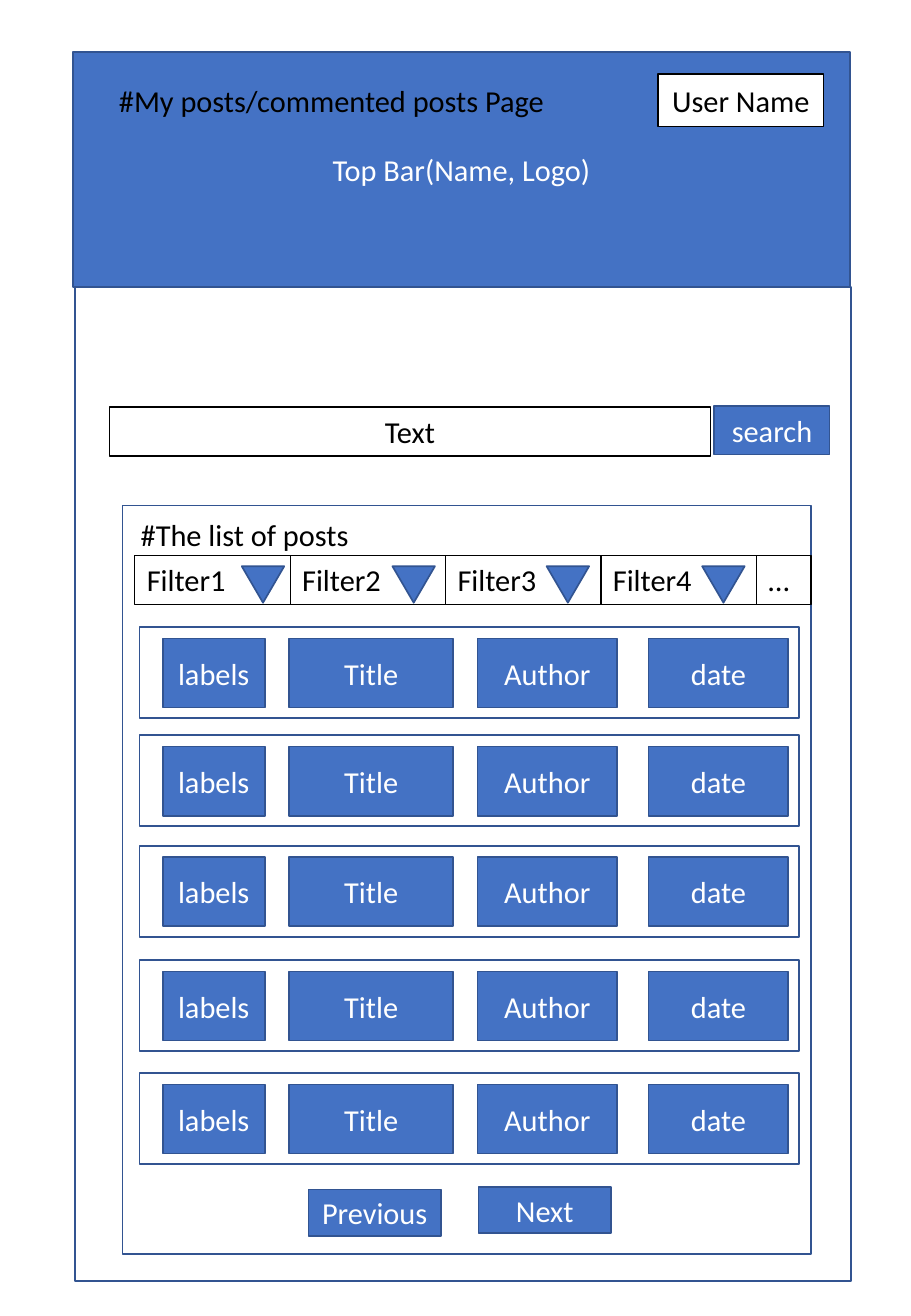
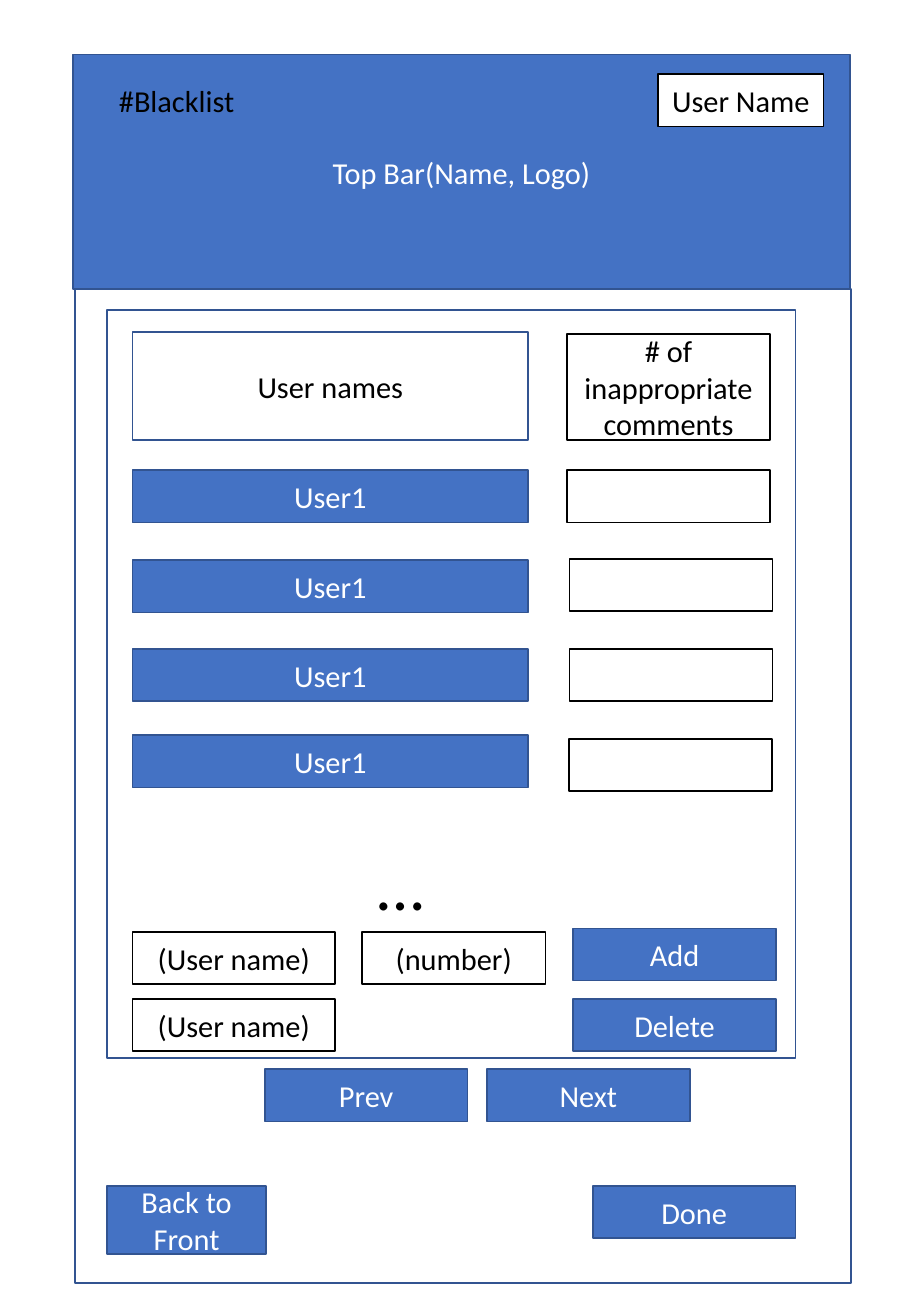
"""Build two page wireframes: a list of posts and a blacklist."""
from pptx import Presentation
from pptx.dml.color import RGBColor
from pptx.enum.shapes import MSO_SHAPE
from pptx.enum.text import MSO_ANCHOR, MSO_AUTO_SIZE, PP_ALIGN
from pptx.util import Pt

RECT, TRIANGLE = MSO_SHAPE.RECTANGLE, MSO_SHAPE.ISOSCELES_TRIANGLE
TOP, MIDDLE = MSO_ANCHOR.TOP, MSO_ANCHOR.MIDDLE
LEFT, CENTER = PP_ALIGN.LEFT, PP_ALIGN.CENTER
GROW = MSO_AUTO_SIZE.SHAPE_TO_FIT_TEXT

COLORS = {"blue": "4472C4", "edge": "325491", "white": "FFFFFF", "black": "000000"}
STYLES = {
    "button": {"fill": "blue", "line": "edge", "color": "white"},
    "frame": {"fill": None, "line": "edge", "color": "black"},
    "header": {"fill": "white", "line": "edge", "color": "black"},
    "field": {"fill": "white", "line": "black", "color": "black"},
}


def add_box(s, style, x, y, w, h, text="", shape=RECT):
    look = STYLES[style]
    sp = s.shapes.add_shape(shape, Pt(x), Pt(y), Pt(w), Pt(h))
    sp.shadow.inherit = False
    if look["fill"]:
        sp.fill.solid()
        sp.fill.fore_color.rgb = RGBColor.from_string(COLORS[look["fill"]])
    else:
        sp.fill.background()
    sp.line.color.rgb = RGBColor.from_string(COLORS[look["line"]])
    sp.line.width = Pt(1)
    if text:
        tf = sp.text_frame
        tf.word_wrap, tf.vertical_anchor = True, MIDDLE
        p = tf.paragraphs[0]
        p.alignment = CENTER
        r = p.add_run()
        r.text = text
        for name, value in {"name": "Calibri", "size": Pt(18)}.items():
            setattr(r.font, name, value)
        r.font.color.rgb = RGBColor.from_string(COLORS[look["color"]])
    return sp


def add_text(s, x, y, w, h, text, size=18, align=LEFT, wrap=True, outline=False):
    sp = s.shapes.add_textbox(Pt(x), Pt(y), Pt(w), Pt(h))
    if outline:
        sp.line.color.rgb = RGBColor.from_string(COLORS["black"])
        sp.line.width = Pt(0.75)
    tf = sp.text_frame
    for name, value in {"word_wrap": wrap, "auto_size": GROW, "vertical_anchor": TOP}.items():
        setattr(tf, name, value)
    p = tf.paragraphs[0]
    p.alignment = align
    r = p.add_run()
    r.text = text
    for name, value in {"name": "Calibri", "size": Pt(size)}.items():
        setattr(r.font, name, value)
    r.font.color.rgb = RGBColor.from_string(COLORS["black"])


prs = Presentation()
prs.slide_width, prs.slide_height = Pt(540), Pt(779.76)

pages = []
for title, title_w, bar_y in [("#My posts/commented posts Page", 269.3, 31),
                              ("#Blacklist", 83.5, 32.4)]:
    s = prs.slides.add_slide(prs.slide_layouts[6])
    add_box(s, "button", 43.2, bar_y, 460.8, 139, "Top Bar(Name, Logo)")
    add_box(s, "frame", 44.6, bar_y + 139, 460, 589)
    add_text(s, 63.4, 45.4, title_w, 29, title, wrap=False)
    add_box(s, "field", 390.2, 43.9, 97.9, 31, "User Name")
    pages.append(s)
posts, blacklist = pages

add_text(posts, 64.8, 241.2, 356.4, 29, "Text", align=CENTER, outline=True)
add_box(posts, "button", 423.4, 240.5, 68.4, 28.8, "search")
add_box(posts, "frame", 72.7, 299.5, 408.2, 443.5)
add_text(posts, 76.3, 302.4, 139, 29, "#The list of posts", wrap=False)

filter_w = 92.1
for i, arrow_x in enumerate([143.3, 232.6, 324, 416.2]):
    add_text(posts, 79.9 + i * filter_w, 329, filter_w, 29, f"Filter{i + 1}", outline=True)
    arrow = add_box(posts, "button", arrow_x, 335.5, 25.2, 21.6, shape=TRIANGLE)
    arrow.rotation = 180
add_text(posts, 79.9 + 4 * filter_w, 329, 32.4, 29, "…", outline=True)

post_columns = [("labels", 96.5, 60.5), ("Title", 171.4, 97.2),
                ("Author", 283, 82.8), ("date", 384.5, 82.8)]
for y in [371.5, 435.6, 501.1, 568.8, 635.8]:
    for label, x, w in post_columns:
        add_box(posts, "button", x, y + 6.8, w, 41, label)
    add_box(posts, "frame", 82.8, y, 391, 54)
add_box(posts, "button", 182.9, 704.9, 78.5, 27.4, "Previous")
add_box(posts, "button", 283.7, 703.4, 78.5, 27.4, "Next")

name_x, name_w, cell_w, cell_h = 78.5, 234.7, 120.2, 31
add_box(blacklist, "frame", 63.4, 183.6, 408.2, 443.5)
add_box(blacklist, "header", name_x, 196.6, name_w, 64.1, "User names")
add_box(blacklist, "field", 336.2, 198, cell_w, 62.6, "# of inappropriate comments")
for name_y, count_x, count_y in [(278.6, 336.2, 278.6), (331.9, 337.7, 331.2),
                                 (384.5, 337.7, 384.5), (435.6, 337.3, 437.8)]:
    add_box(blacklist, "button", name_x, name_y, name_w, cell_h, "User1")
    add_box(blacklist, "field", count_x, count_y, cell_w, cell_h)
add_text(blacklist, 216.7, 496.1, 131.8, 55.4, "…", size=40)

for style, x, y, w, label in [
    ("field", name_x, 552.2, cell_w, "(User name)"),
    ("field", 214.6, 552.2, 108.7, "(number)"),
    ("button", 339.8, 550.1, cell_w, "Add"),
    ("field", name_x, 591.8, cell_w, "(User name)"),
    ("button", 339.8, 591.8, cell_w, "Delete"),
    ("button", 157, 633.6, cell_w, "Prev"),
    ("button", 288.7, 633.6, cell_w, "Next"),
    ("button", 351.4, 702.7, cell_w, "Done"),
]:
    add_box(blacklist, style, x, y, w, cell_h, label)
add_box(blacklist, "button", 63.4, 702.7, 94.3, 40.3, "Back to Front")

prs.save("out.pptx")
